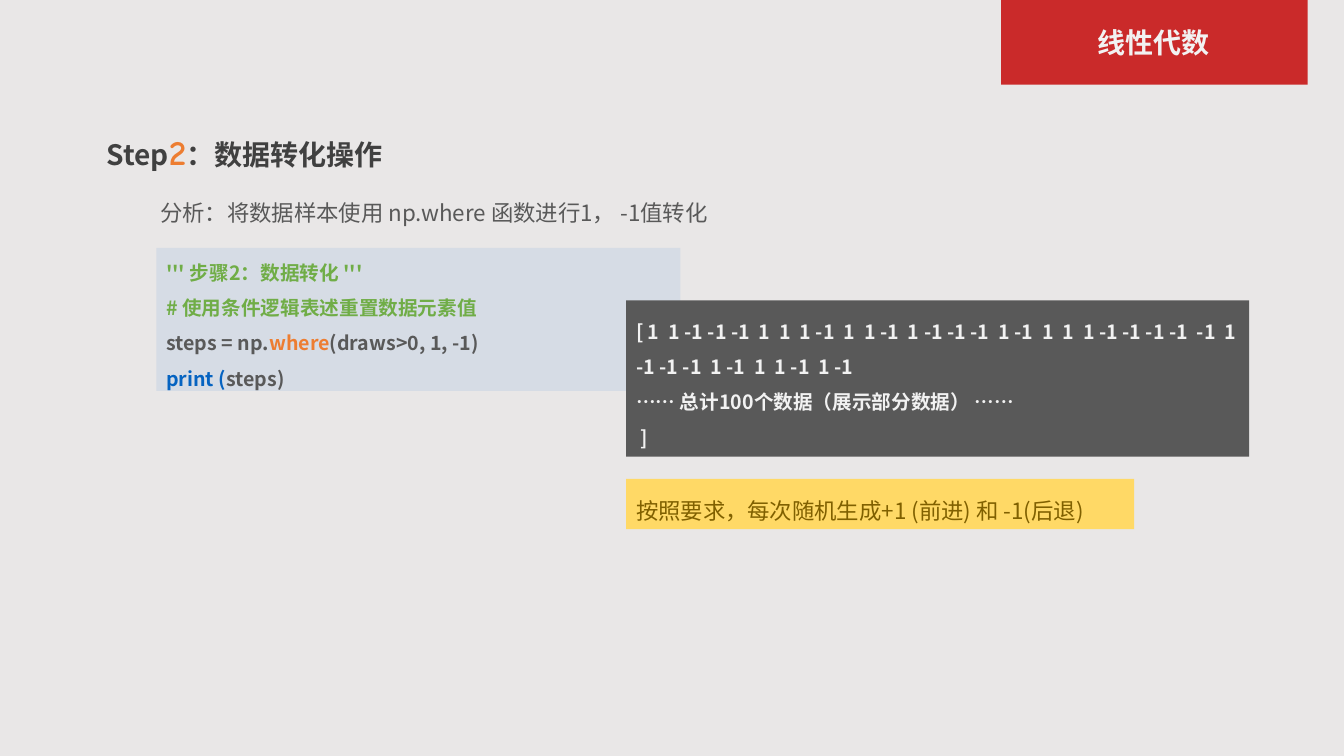
from pptx import Presentation, util as u
from pptx.dml.color import RGBColor
from pptx.enum import shapes, text
from pptx.oxml.ns import qn
from lxml import etree

FONT = "Noto Sans CJK SC"
GREY, DARK, ORANGE, GREEN, BLUE = "595959", "404040", "ED7D31", "70AD47", "0563C1"
PALE = "F2F2F2"

presentation = Presentation()
presentation.slide_width = u.Inches(13.33)
presentation.slide_height = u.Inches(7.5)
slide = presentation.slides.add_slide(presentation.slide_layouts[5])
slide.background.fill.solid()
slide.background.fill.fore_color.rgb = RGBColor.from_string("E9E7E7")


def place(shape, left, top, width, height, fill=None):
    """Position a shape in percent of the slide and give it a flat fill."""
    shape.left = int(presentation.slide_width * left / 100)
    shape.top = int(presentation.slide_height * top / 100)
    shape.width = int(presentation.slide_width * width / 100)
    shape.height = int(presentation.slide_height * height / 100)
    if fill:
        shape.shadow.inherit = False
        shape.fill.solid()
        shape.fill.fore_color.rgb = RGBColor.from_string(fill)
        shape.line.fill.background()
    return shape


def write(shape, lines, size, bold=False, spacing=1.0,
          align=text.PP_ALIGN.LEFT, anchor=text.MSO_ANCHOR.TOP):
    """Fill a shape with lines of (text, colour[, size, font]) runs."""
    frame = shape.text_frame
    frame.word_wrap = True
    frame.auto_size = text.MSO_AUTO_SIZE.NONE
    frame.vertical_anchor = anchor
    for index, line in enumerate(lines):
        paragraph = frame.add_paragraph() if index else frame.paragraphs[0]
        paragraph.alignment = align
        paragraph.line_spacing = spacing
        for words, colour, *special in line:
            run_size, name = special or (size, FONT)
            run = paragraph.add_run()
            run.text = words
            run.font.size = u.Pt(run_size)
            run.font.bold = bold
            run.font.color.rgb = RGBColor.from_string(colour)
            run.font.name = name
            east_asian = etree.SubElement(run.font._element, qn("a:ea"))
            east_asian.set("typeface", name)


# Red banner behind the title
title = place(slide.shapes.title, 74.57, 3.07, 22.5, 5.6)
banner = slide.shapes.add_shape(shapes.MSO_SHAPE.RECTANGLE, 0, 0, 0, 0)
place(banner, 74.5, 0, 22.8, 11.2, "CA2A2A")
title.element.addprevious(banner.element)
write(title, [[("线性代数", PALE)]], 20, bold=True, spacing=0.9,
      align=text.PP_ALIGN.CENTER, anchor=text.MSO_ANCHOR.MIDDLE)

# Step heading and analysis
heading = place(slide.shapes.add_textbox(0, 0, 0, 0), 7.2, 16.67, 86.95, 6.93)
write(heading, [[("Step", DARK), ("2", ORANGE, 25, "Comic Neue"),
                 ("：数据转化操作", DARK)]], 20, bold=True)
analysis = place(slide.shapes.add_textbox(0, 0, 0, 0), 11.18, 23.87, 85.8, 6.13)
write(analysis, [[("分析：将数据样本使用 np.where 函数进行1， -1值转化", GREY)]],
      16, spacing=1.5)

# Code, its output, and the closing note
code = [
    [("''' 步骤2：数据转化 '''", GREEN)],
    [("# 使用条件逻辑表述重置数据元素值", GREEN)],
    [("steps = np.", GREY), ("where", ORANGE), ("(draws>0, 1, -1)", GREY)],
    [("print (", BLUE), ("steps)", GREY)],
]
output = [
    [("[ 1  1 -1 -1 -1  1  1  1 -1  1  1 -1  1 -1 -1 -1  1 -1  1  1  1 -1 -1 -1 -1"
      "  -1  1 -1 -1 -1  1 -1  1  1 -1  1 -1", PALE)],
    [("…… 总计100个数据（展示部分数据） ……", PALE)],
    [(" ]", PALE)],
]
note = [[("按照要求，每次随机生成+1 (前进) 和 -1(后退)", "806000")]]
panels = [
    ((11.63, 32.8, 39, 18.93), "D6DCE5", code, 14, True, text.MSO_ANCHOR.MIDDLE),
    ((46.59, 39.73, 46.36, 20.67), GREY, output, 14, True, text.MSO_ANCHOR.MIDDLE),
    ((46.59, 63.33, 37.8, 6.67), "FFD966", note, 16, False, text.MSO_ANCHOR.TOP),
]
for box, fill, lines, size, bold, anchor in panels:
    panel = slide.shapes.add_shape(shapes.MSO_SHAPE.RECTANGLE, 0, 0, 0, 0)
    place(panel, *box, fill=fill)
    write(panel, lines, size, bold=bold, spacing=1.5, anchor=anchor)

presentation.save("out.pptx")
